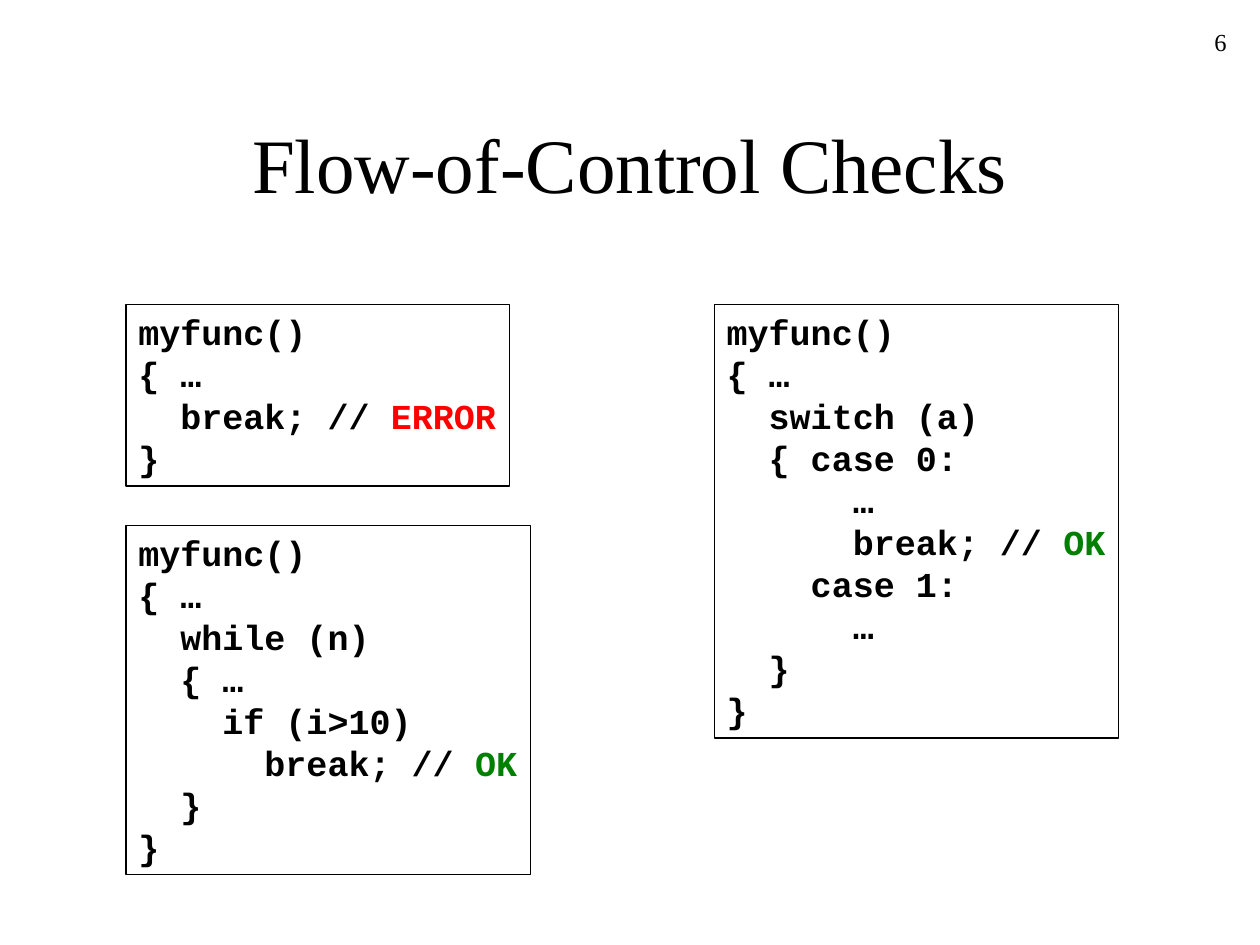
import dataclasses

import pptx
import pptx.dml.color
import pptx.enum.shapes
import pptx.enum.text
import pptx.util

Cm, Pt = pptx.util.Cm, pptx.util.Pt
RGB = pptx.dml.color.RGBColor
ALIGN = pptx.enum.text.PP_ALIGN
ANCHOR = pptx.enum.text.MSO_ANCHOR
AUTO = pptx.enum.text.MSO_AUTO_SIZE


@dataclasses.dataclass(frozen=True)
class Theme:
    """Colours, fonts and type sizes of the slide."""
    ink: RGB = RGB(0, 0, 0)
    paper: RGB = RGB(255, 255, 255)
    error: RGB = RGB(255, 0, 0)
    ok: RGB = RGB(0, 128, 0)
    serif: str = "Times New Roman"
    mono: str = "Courier New"
    title: Pt = Pt(44)
    code: Pt = Pt(20)
    number: Pt = Pt(14)
    border: Pt = Pt(0.75)


THEME = Theme()
SERIF = {"name": THEME.serif, "bold": False}
CODE = {"name": THEME.mono, "size": THEME.code, "bold": True}
MARKS = {"ERROR": THEME.error, "OK": THEME.ok}

BREAK_ALONE = ["myfunc()\n{ …", "  break; // ERROR", "}"]
BREAK_IN_SWITCH = ["myfunc()\n{ …", "  switch (a)\n  { case 0:",
                   "      …\n      break; // OK", "    case 1:", "      …", "  }", "}"]
BREAK_IN_WHILE = ["myfunc()\n{ …", "  while (n)", "  { …", "    if (i>10)",
                  "      break; // OK", "  }", "}"]


def set_attrs(target, values):
    """Set each named attribute of the target."""
    for name, value in values.items():
        setattr(target, name, value)


def format_run(r, font, colour=THEME.ink):
    """Give a run its font values and colour."""
    set_attrs(r.font, font)
    r.font.color.rgb = colour


def place(sp, box):
    """Move a shape to a left, top, width, height box in centimetres."""
    set_attrs(sp, dict(zip(("left", "top", "width", "height"), map(Cm, box))))


def add_title(s, text, box):
    """Place and format the title placeholder."""
    sp = s.shapes.title
    place(sp, box)
    set_attrs(sp.text_frame, {"text": text, "word_wrap": True,
                              "vertical_anchor": ANCHOR.MIDDLE})
    p = sp.text_frame.paragraphs[0]
    p.alignment = ALIGN.CENTER
    format_run(p.runs[0], {**SERIF, "size": THEME.title})


def add_number(s, text, box):
    """Write the slide number at the right of its box."""
    tf = s.shapes.add_textbox(*map(Cm, box)).text_frame
    set_attrs(tf, {"text": text, "word_wrap": True})
    p = tf.paragraphs[0]
    p.alignment = ALIGN.RIGHT
    format_run(p.runs[0], {**SERIF, "size": THEME.number})


def add_code(s, paragraphs, box):
    """Draw a framed listing whose closing verdict words are coloured."""
    sp = s.shapes.add_shape(pptx.enum.shapes.MSO_SHAPE.RECTANGLE, *map(Cm, box))
    sp.shadow.inherit = False
    sp.fill.background()
    sp.line.color.rgb = THEME.ink
    sp.line.width = THEME.border
    tf = sp.text_frame
    set_attrs(tf, {"word_wrap": False, "auto_size": AUTO.SHAPE_TO_FIT_TEXT,
                   "vertical_anchor": ANCHOR.TOP, "margin_right": Cm(0.2)})
    for i, text in enumerate(paragraphs):
        p = tf.add_paragraph() if i else tf.paragraphs[0]
        p.alignment = ALIGN.LEFT
        mark = next((m for m in MARKS if text.endswith(m)), "")
        p.text = text.removesuffix(mark)
        for r in p.runs:
            format_run(r, CODE)
        if mark:
            r = p.add_run()
            r.text = mark
            format_run(r, CODE, MARKS[mark])


def main():
    """Build and save the slide."""
    prs = pptx.Presentation()
    set_attrs(prs, {"slide_width": Cm(25.4), "slide_height": Cm(19.05)})
    s = prs.slides.add_slide(prs.slide_layouts[5])
    s.background.fill.solid()
    s.background.fill.fore_color.rgb = THEME.paper
    left, right, top = 2.54, 14.4, 6.14
    add_number(s, "6", (19.7, 0.42, 5.28, 1.27))
    add_title(s, "Flow-of-Control Checks", (1.9, 1.69, 21.6, 3.18))
    add_code(s, BREAK_ALONE, (left, top, 7.73, 3.66))
    add_code(s, BREAK_IN_SWITCH, (right, top, 8.15, 8.74))
    add_code(s, BREAK_IN_WHILE, (left, 10.59, 8.15, 7.04))
    prs.save("out.pptx")


if __name__ == "__main__":
    main()
